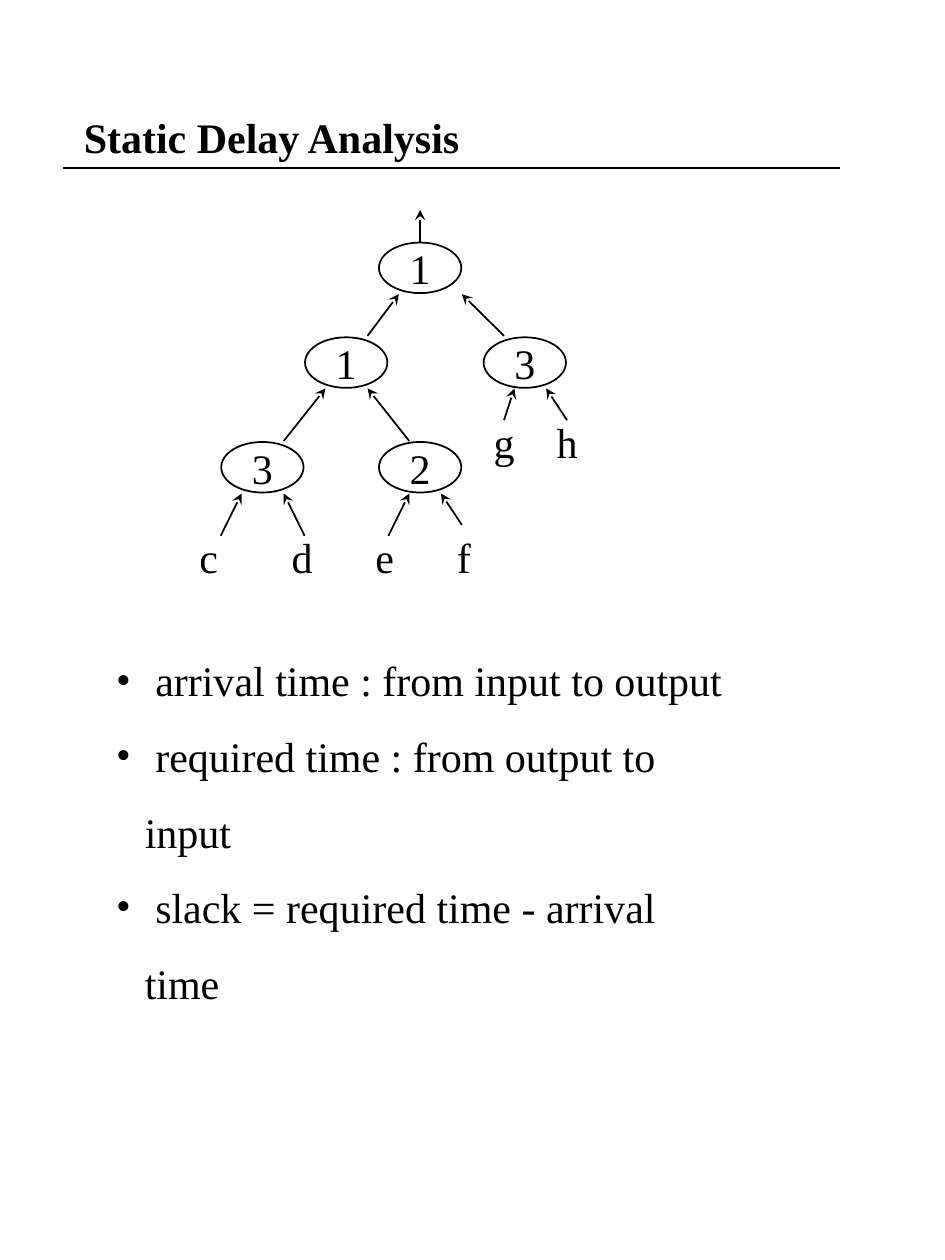
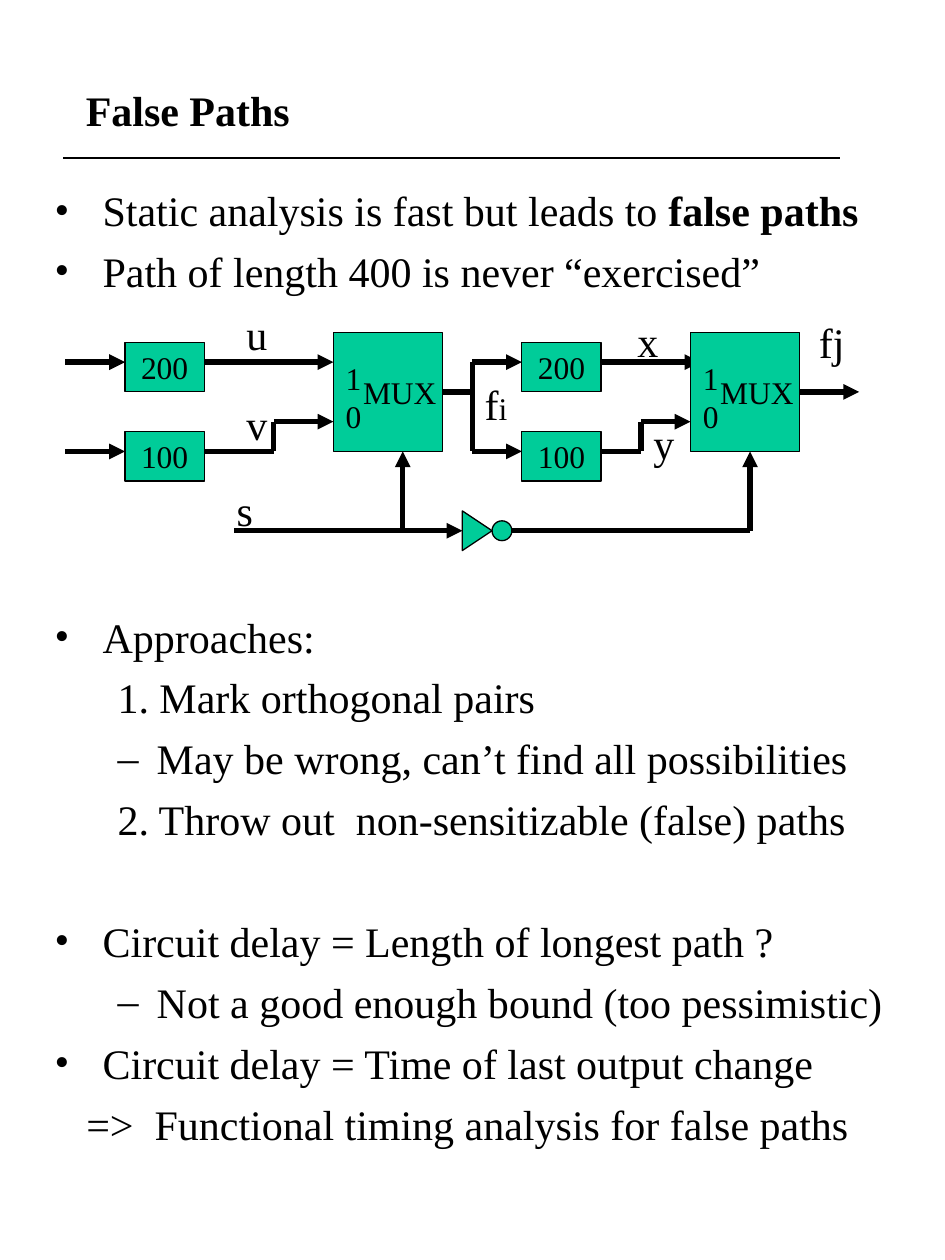
from lxml import etree
from pptx import Presentation
from pptx import util as u
from pptx.dml.color import RGBColor
from pptx.enum import shapes, text
from pptx.oxml.ns import qn

BLACK = RGBColor(0x00, 0x00, 0x00)
WHITE = RGBColor(0xFF, 0xFF, 0xFF)
GREEN = RGBColor(0x00, 0xCC, 0x99)
FONT = "Times New Roman"
SHAPE = shapes.MSO_SHAPE
MIDDLE = text.MSO_ANCHOR.MIDDLE
CENTER = text.PP_ALIGN.CENTER
THIN, EDGE, WIRE = 1, 0.75, 3
CIRCUIT_X, CIRCUIT_Y = 1.32, 6.7


def set_all(obj, values):
    for name, value in values.items():
        setattr(obj, name, value)


def add_run(p, words, size=24, bold=False):
    r = p.add_run()
    r.text = words
    set_all(r.font, {"name": FONT, "size": u.Pt(size), "bold": bold})
    r.font.color.rgb = BLACK


def add_text(s, box, lines, size=24, bold=False, anchor=text.MSO_ANCHOR.TOP, wrap=False):
    tf = s.shapes.add_textbox(*map(u.Cm, box)).text_frame
    set_all(tf, {"word_wrap": wrap, "vertical_anchor": anchor})
    for i, line in enumerate(lines):
        p = tf.add_paragraph() if i else tf.paragraphs[0]
        add_run(p, line, size, bold)
    return tf


def set_indent(p, left, first, bullet=None):
    pPr = p._p.get_or_add_pPr()
    pPr.set("marL", str(u.Cm(left)))
    pPr.set("indent", str(u.Cm(first)))
    if bullet:
        etree.SubElement(pPr, qn("a:buFont")).set("typeface", FONT)
        etree.SubElement(pPr, qn("a:buChar")).set("char", bullet)
    else:
        etree.SubElement(pPr, qn("a:buNone"))


def add_line(s, start, end, width=THIN, head=None):
    sp = s.shapes.add_connector(
        shapes.MSO_CONNECTOR.STRAIGHT, *map(u.Cm, (*start, *end)))
    sp.line.width = u.Pt(width)
    sp.line.color.rgb = BLACK
    if head:
        etree.SubElement(sp.line._get_or_add_ln(), qn("a:tailEnd")).set("type", head)
    etree.SubElement(sp._element.spPr, qn("a:effectLst"))


def add_shape(s, kind, box, fill, width, label="", size=18, inset=None):
    sp = s.shapes.add_shape(kind, *map(u.Cm, box))
    sp.shadow.inherit = False
    sp.fill.solid()
    sp.fill.fore_color.rgb = fill
    sp.line.width = u.Pt(width)
    sp.line.color.rgb = BLACK
    if label:
        tf = sp.text_frame
        set_all(tf, {"word_wrap": False, "vertical_anchor": MIDDLE})
        if inset:
            set_all(tf, {"margin_left": u.Cm(inset), "margin_right": 0})
        tf.paragraphs[0].alignment = CENTER
        add_run(tf.paragraphs[0], label, size)
    return sp


def add_title(s, words, box, rule_y):
    add_text(s, box, [words], bold=True, anchor=MIDDLE, wrap=True)
    add_line(s, (1.27, rule_y), (16.94, rule_y))


def add_node(s, x, y, delay):
    w, h = 1.66, 1.02
    sp = add_shape(s, SHAPE.OVAL, (x - w / 2, y - h / 2, w, h), WHITE, THIN, delay, 24)
    color = sp._element.spPr.find(qn("a:solidFill"))[0]
    etree.SubElement(color, qn("a:alpha")).set("val", "50000")


def add_tree(s):
    nodes = [(8.47, 5.4, "1"), (6.98, 7.31, "1"), (10.58, 7.31, "3"),
             (5.29, 9.42, "3"), (8.47, 9.42, "2")]
    for node in nodes:
        add_node(s, *node)
    edges = [
        ((8.47, 4.87), (8.47, 4.23)),
        ((7.41, 6.77), (8.04, 5.93)), ((10.16, 6.77), (9.31, 5.93)),
        ((5.72, 8.89), (6.56, 7.83)), ((8.25, 8.89), (7.41, 7.83)),
        ((10.16, 8.47), (10.37, 7.83)), ((11.43, 8.47), (11.01, 7.83)),
        ((4.45, 10.8), (4.87, 9.95)), ((6.14, 10.8), (5.72, 9.95)),
        ((7.83, 10.8), (8.25, 9.95)), ((9.31, 10.58), (8.89, 9.95)),
    ]
    for start, end in edges:
        add_line(s, start, end, head="stealth")
    inputs = {"c": (3.77, 10.6), "d": (5.63, 10.6), "e": (7.32, 10.6),
              "f": (8.96, 10.6), "g": (9.7, 8.27), "h": (10.97, 8.27)}
    for name, spot in inputs.items():
        add_text(s, (*spot, 0.95, 1.27), [name])


def delay_slide(prs):
    s = prs.slides.add_slide(prs.slide_layouts[6])
    add_title(s, "Static Delay Analysis", (1.44, 1.27, 16.18, 2.97), 3.39)
    add_tree(s)
    tf = add_text(s, (2.09, 12.57, 13.06, 4.83), [
        " arrival time : from input to output",
        " required time : from output to input",
        " slack = required time - arrival time"], wrap=True)
    for p in tf.paragraphs:
        p.line_spacing = 1.5
        set_indent(p, 0.58, -0.58, "•")


def at(x, y):
    return CIRCUIT_X + x, CIRCUIT_Y + y


def add_wire(s, *points):
    for i, (start, end) in enumerate(zip(points, points[1:])):
        last = i == len(points) - 2
        add_line(s, at(*start), at(*end), WIRE, "triangle" if last else None)


def add_stage(s, box_x, mux_x):
    for y, delay in ((0.2, "200"), (2, "100")):
        add_shape(s, SHAPE.RECTANGLE, (*at(box_x, y), 1.6, 1), GREEN, EDGE, delay)
    add_shape(s, SHAPE.RECTANGLE, (*at(mux_x, 0), 2.2, 2.4), GREEN, EDGE, "MUX", inset=0.48)
    add_text(s, (*at(mux_x, 0.42), 0.82, 1.78), ["1", "0"], 18)


def add_circuit(s):
    wires = [
        [(0, 0.6), (1.2, 0.6)],
        [(0, 2.4), (1.2, 2.4)],
        [(2.8, 0.6), (5.4, 0.6)],
        [(2.8, 2.4), (4.2, 2.4), (4.2, 1.8), (5.4, 1.8)],
        [(7.6, 1.2), (8.2, 1.2), (8.2, 0.6), (9.2, 0.6)],
        [(8.2, 1.2), (8.2, 2.4), (9.2, 2.4)],
        [(10.8, 0.6), (12.8, 0.6)],
        [(10.8, 2.4), (11.6, 2.4), (11.6, 1.8), (12.6, 1.8)],
        [(14.8, 1.2), (16, 1.2)],
        [(3.4, 4), (8, 4)],
        [(6.8, 4), (6.8, 2.4)],
        [(9, 4), (13.8, 4), (13.8, 2.4)],
    ]
    for points in wires:
        add_wire(s, *points)
    add_stage(s, 1.2, 5.4)
    add_stage(s, 9.2, 12.6)
    inverter = add_shape(
        s, SHAPE.ISOSCELES_TRIANGLE, (*at(7.9, 3.7), 0.8, 0.6), GREEN, EDGE)
    inverter.rotation = 90
    add_shape(s, SHAPE.OVAL, (*at(8.6, 3.8), 0.4, 0.4), GREEN, EDGE)
    signals = {"u": (3.4, -0.6), "v": (3.4, 1.2), "s": (3.2, 2.94),
               "x": (11.28, -0.46), "y": (11.6, 1.6), "fj": (14.94, -0.45)}
    for name, spot in signals.items():
        add_text(s, (*at(*spot), 0.5 + 0.5 * len(name), 1.27), [name])
    tf = add_text(s, (*at(8.2, 0.8), 1.2, 1.27), ["f"])
    add_run(tf.paragraphs[0], "i", 18)


def paths_slide(prs):
    s = prs.slides.add_slide(prs.slide_layouts[6])
    add_title(s, "False Paths", (1.48, 0.84, 16.18, 2.74), 3.18)
    point, dash, step = (0.97, -0.97, "•"), (2.06, -0.79, "–"), (2.06, -0.79)
    body = [
        ("Static analysis is fast but leads to ", point, 0),
        ("Path of length 400 is never “exercised”", point, 6),
        ("Approaches:", point, 180),
        ("1. Mark orthogonal pairs", step, 6),
        ("May be wrong, can’t find all possibilities", dash, 6),
        ("2. Throw out  non-sensitizable (false) paths", step, 6),
        ("Circuit delay = Length of longest path ?", point, 40.8),
        ("Not a good enough bound (too pessimistic)", dash, 6),
        ("Circuit delay = Time of last output change", point, 6),
        ("=>  Functional timing analysis for false paths", (0.64, 0), 6),
    ]
    tf = add_text(s, (0.85, 3.6, 18.2, 20.75), [line for line, _, _ in body], wrap=True)
    for p, (_, indent, gap) in zip(tf.paragraphs, body):
        set_indent(p, *indent)
        p.space_before = u.Pt(gap)
    add_run(tf.paragraphs[0], "false paths", bold=True)
    add_circuit(s)


def main():
    prs = Presentation()
    set_all(prs, {"slide_width": u.Cm(19.05), "slide_height": u.Cm(25.4)})
    delay_slide(prs)
    paths_slide(prs)
    prs.save("out.pptx")


main()
